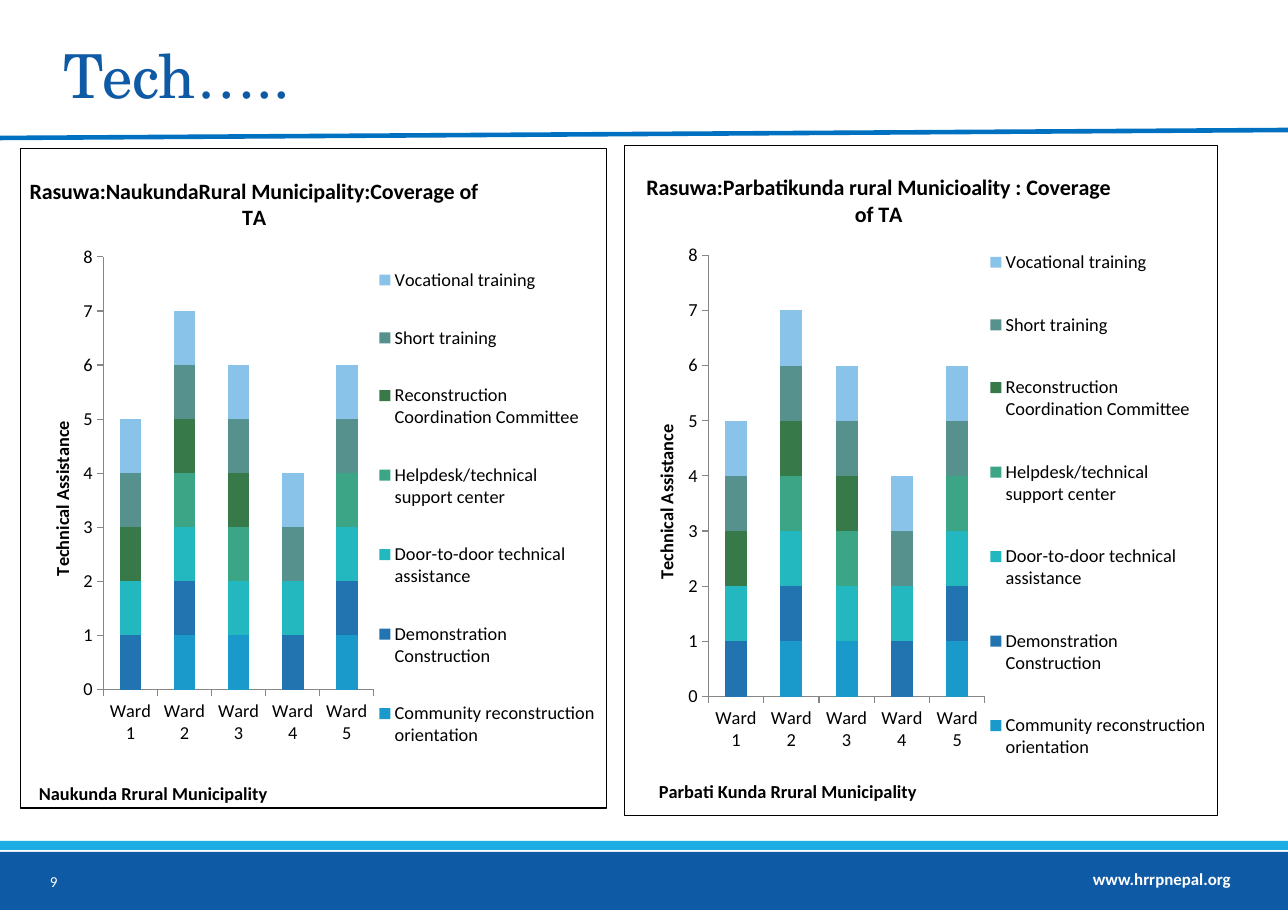
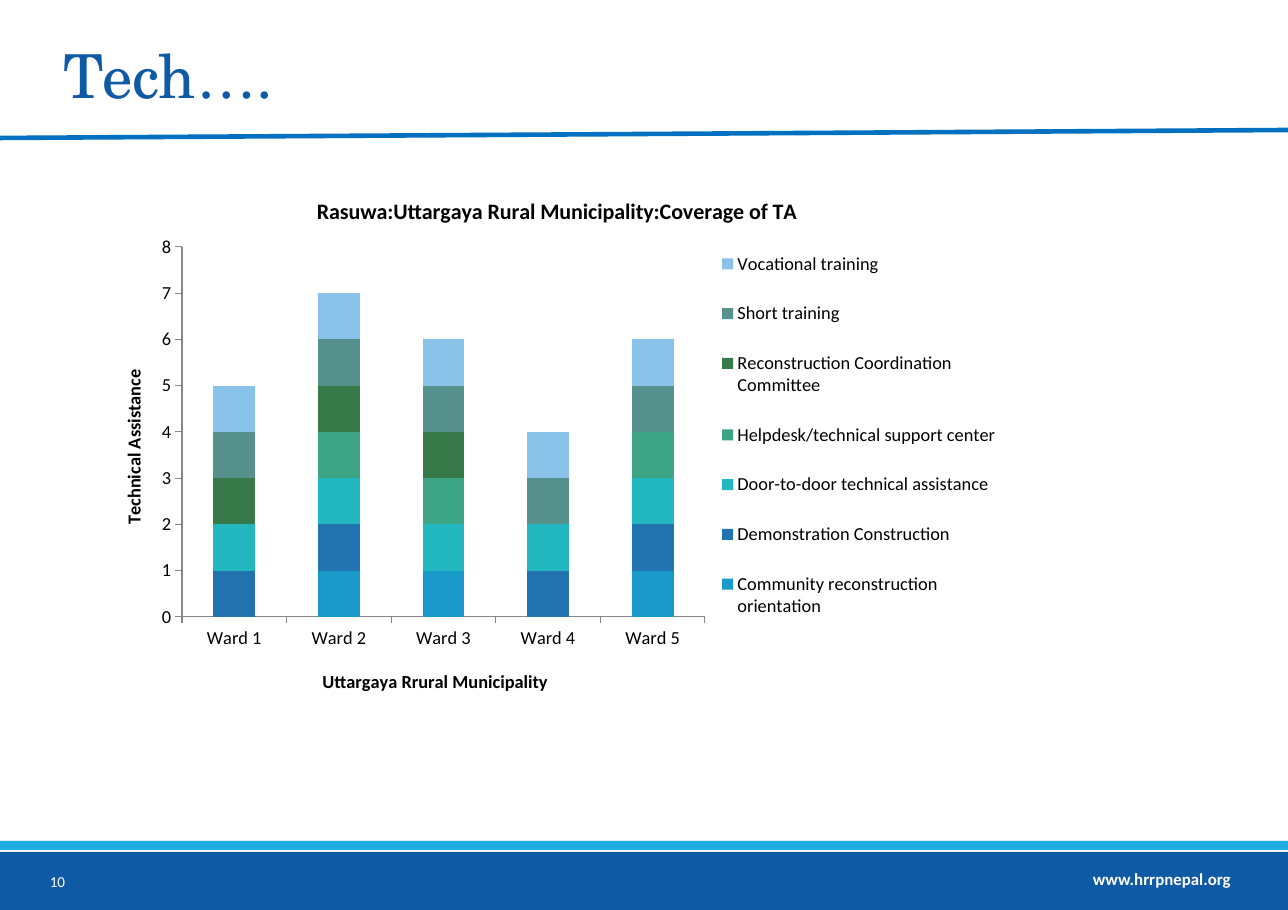
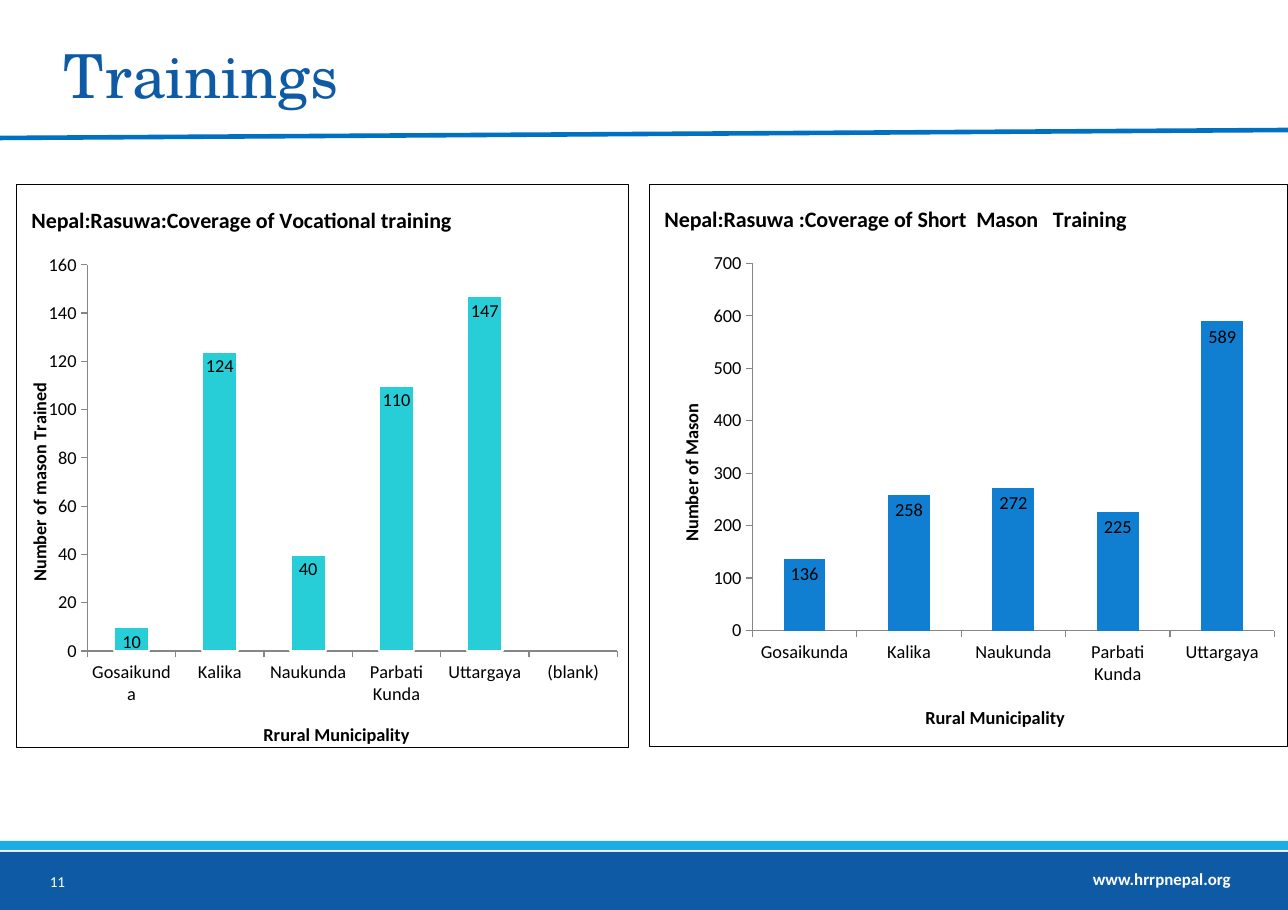
"""Build three slides on technical assistance and training coverage in Rasuwa."""
from lxml.etree import SubElement
from pptx import Presentation
from pptx.chart.data import CategoryChartData
from pptx.dml.color import RGBColor
from pptx.enum.chart import XL_CHART_TYPE, XL_LABEL_POSITION, XL_LEGEND_POSITION, XL_TICK_MARK
from pptx.enum.shapes import MSO_CONNECTOR, MSO_SHAPE
from pptx.enum.text import MSO_ANCHOR
from pptx.oxml import parse_xml
from pptx.oxml.ns import nsdecls, qn
from pptx.util import Pt

EMU_PER_PX = 914400 / 110.2
SLIDE_WIDTH, SLIDE_HEIGHT = 1288, 910
FIRST_PAGE = 9

NAVY = RGBColor(0x0F, 0x5A, 0xA5)
SKY = RGBColor(0x1C, 0xAD, 0xE4)
RULE_BLUE = RGBColor(0x00, 0x70, 0xC0)
AXIS_GRAY = RGBColor(0x86, 0x86, 0x86)
TURQUOISE = RGBColor(0x27, 0xCE, 0xD7)
MASON_BLUE = RGBColor(0x10, 0x7F, 0xD2)
WHITE = RGBColor(0xFF, 0xFF, 0xFF)
BLACK = RGBColor(0x00, 0x00, 0x00)
BODY_FONT, TITLE_FONT = "Calibri", "TeX Gyre Schola"

WARDS = ["Ward 1", "Ward 2", "Ward 3", "Ward 4", "Ward 5"]
MUNICIPALITIES = ["Gosaikunda", "Kalika", "Naukunda", "Parbati Kunda", "Uttargaya"]
ASSISTANCE = [
    ("Community reconstruction orientation", [0, 1, 1, 0, 1], RGBColor(0x19, 0x9A, 0xCB)),
    ("Demonstration Construction", [1, 1, 0, 1, 1], RGBColor(0x22, 0x74, 0xB1)),
    ("Door-to-door technical assistance", [1, 1, 1, 1, 1], RGBColor(0x23, 0xB7, 0xBF)),
    ("Helpdesk/technical support center", [0, 1, 1, 0, 1], RGBColor(0x3B, 0xA5, 0x86)),
    ("Reconstruction Coordination Committee", [1, 1, 1, 0, 0], RGBColor(0x37, 0x79, 0x49)),
    ("Short training", [1, 1, 1, 1, 1], RGBColor(0x57, 0x91, 0x8D)),
    ("Vocational training", [1, 1, 1, 1, 1], RGBColor(0x8A, 0xC3, 0xE9)),
]
COVERAGE = dict(categories=WARDS, series=ASSISTANCE, value_title="Technical Assistance",
                maximum=8, step=1, border=BLACK)

SLIDES = [
    ("Tech…..", [
        dict(COVERAGE, box=(20, 148, 587, 663), plot=(103, 257, 271, 435),
             legend=(384, 233, 219, 552),
             title="Rasuwa:NaukundaRural Municipality:Coverage of TA", title_at=(25, 172),
             category_title="Naukunda Rrural Municipality", category_at=(35, 781),
             value_at=(46, 419)),
        dict(COVERAGE, box=(624, 145, 594, 671), plot=(708, 255, 277, 442),
             legend=(996, 210, 219, 590),
             title="Rasuwa:Parbatikunda rural Municioality : Coverage of TA", title_at=(642, 168),
             category_title="Parbati Kunda Rrural Municipality", category_at=(655, 776),
             value_at=(650, 421)),
    ]),
    ("Tech….", [
        dict(COVERAGE, box=(91, 169, 927, 543), plot=(182, 247, 523, 370),
             legend=(713, 225, 292, 420), border=None,
             title="Rasuwa:Uttargaya Rural Municipality:Coverage of TA", title_at=(313, 192),
             category_title="Uttargaya Rrural Municipality", category_at=(319, 666),
             value_at=(118, 366)),
    ]),
    ("Trainings", [
        dict(categories=MUNICIPALITIES, series=[("Series 1", [136, 258, 272, 225, 589], MASON_BLUE)],
             maximum=700, step=100, border=BLACK, box=(649, 184, 639, 563),
             plot=(752, 263, 523, 368),
             title="Nepal:Rasuwa :Coverage of Short  Mason   Training", title_at=(660, 200),
             category_title="Rural Municipality", category_at=(922, 702),
             value_title="Number of Mason", value_at=(675, 400)),
        dict(categories=MUNICIPALITIES + ["(blank)"],
             series=[("Series 1", [10, 124, 40, 110, 147, None], TURQUOISE)], outline=WHITE,
             maximum=160, step=20, border=BLACK, box=(16, 184, 613, 568),
             plot=(87, 265, 531, 390),
             title="Nepal:Rasuwa:Coverage of Vocational training", title_at=(27, 201),
             category_title="Rrural Municipality", category_at=(260, 724),
             value_title="Number of mason Trained", value_at=(23, 382)),
    ]),
]


def px(*lengths):
    return [round(length * EMU_PER_PX) for length in lengths]


def add_band(slide, box, color):
    band = slide.shapes.add_shape(MSO_SHAPE.RECTANGLE, *px(*box))
    band.shadow.inherit = False
    band.fill.solid()
    band.fill.fore_color.rgb = color
    band.line.fill.background()


def add_text(slide, text, box, size, color, font=BODY_FONT, bold=False, anchor=MSO_ANCHOR.TOP):
    text_frame = slide.shapes.add_textbox(*px(*box)).text_frame
    text_frame.word_wrap = True
    text_frame.vertical_anchor = anchor
    text_frame.text = text
    paragraph = text_frame.paragraphs[0]
    run_font = paragraph.runs[0].font
    run_font.name, run_font.size, run_font.bold = font, Pt(size), bold
    run_font.color.rgb = color
    return paragraph


def add_frame(slide, title, page):
    """Draw the title, rule, bands and footer that every slide carries."""
    add_band(slide, (0, 852, SLIDE_WIDTH, 58), NAVY)
    add_band(slide, (0, 841, SLIDE_WIDTH, 9), SKY)
    add_text(slide, "www.hrrpnepal.org", (1082, 863, 206, 32), 11, WHITE, bold=True)
    rule = slide.shapes.add_connector(MSO_CONNECTOR.STRAIGHT, *px(0, 138, SLIDE_WIDTH, 130))
    rule.line.color.rgb = RULE_BLUE
    rule.line.width = Pt(3)
    SubElement(rule.element.spPr, qn("a:effectLst"))
    heading = add_text(slide, title, (53, 30, 1062, 86), 39.6, NAVY, TITLE_FONT,
                       anchor=MSO_ANCHOR.BOTTOM)
    heading.line_spacing = 0.85
    heading.runs[0].font.element.set("spc", "-40") if hasattr(
        heading.runs[0].font, "element") else heading.runs[0].element_spacing if hasattr(
        heading.runs[0], "element_spacing") else None
    add_text(slide, str(page), (39, 857, 139, 48), 9.9, WHITE, anchor=MSO_ANCHOR.MIDDLE)


def set_layout(element, chart_box, place):
    """Fix a chart part at a place given in slide px: left, top and maybe width, height."""
    left, top, width, height = chart_box
    fractions = [(place[0] - left) / width, (place[1] - top) / height]
    if len(place) == 4:
        fractions += [place[2] / width, place[3] / height]
    inner = '<c:layoutTarget val="inner"/>' if element.tag == qn("c:plotArea") else ""
    modes = '<c:xMode val="edge"/><c:yMode val="edge"/>'
    values = "".join(f'<c:{name} val="{value:.4f}"/>' for name, value in zip("xywh", fractions))
    for layout in element.findall(qn("c:layout")):
        element.remove(layout)
    before = sum(child.tag in (qn("c:tx"), qn("c:legendPos")) for child in element)
    element.insert(before, parse_xml(
        f'<c:layout {nsdecls("c")}><c:manualLayout>{inner}{modes}{values}'
        '</c:manualLayout></c:layout>'))


def set_title(title, text, size, chart_box, place, rotation=0):
    title.text_frame.text = text
    font = title.text_frame.paragraphs[0].runs[0].font
    font.name, font.size, font.bold = BODY_FONT, Pt(size), True
    font.color.rgb = BLACK
    for body in title.element.iter(qn("a:bodyPr")):
        body.set("rot", str(rotation * 60000))
        body.set("vert", "horz")
    set_layout(title.element, chart_box, place)


def add_border(chart, color):
    border = parse_xml(
        f'<c:spPr {nsdecls("c", "a")}><a:noFill/><a:ln w="9525"><a:solidFill>'
        f'<a:srgbClr val="{color}"/></a:solidFill></a:ln></c:spPr>')
    if color is None:
        border = parse_xml(f'<c:spPr {nsdecls("c", "a")}><a:noFill/><a:ln><a:noFill/></a:ln></c:spPr>')
    chart.element.find(qn("c:chart")).addnext(border)


def style_axis(axis):
    axis.has_major_gridlines = False
    axis.major_tick_mark = XL_TICK_MARK.OUTSIDE
    axis.minor_tick_mark = XL_TICK_MARK.NONE
    axis.format.line.color.rgb = AXIS_GRAY
    axis.format.line.width = Pt(0.75)


def add_column_chart(slide, content):
    chart_data = CategoryChartData()
    chart_data.categories = content["categories"]
    for name, values, _ in content["series"]:
        chart_data.add_series(name, values)
    box = content["box"]
    chart = slide.shapes.add_chart(XL_CHART_TYPE.COLUMN_STACKED, *px(*box), chart_data).chart
    chart.font.name, chart.font.size = BODY_FONT, Pt(12)
    chart.font.color.rgb = BLACK
    add_border(chart, content["border"])

    plot = chart.plots[0]
    plot.gap_width, plot.overlap, plot.vary_by_categories = 150, 100, False
    for series, (_, _, color) in zip(plot.series, content["series"]):
        series.format.fill.solid()
        series.format.fill.fore_color.rgb = color
        if "outline" in content:
            series.format.line.color.rgb = content["outline"]
            series.format.line.width = Pt(1.5)

    for axis in (chart.category_axis, chart.value_axis):
        style_axis(axis)
    chart.value_axis.minimum_scale = 0
    chart.value_axis.maximum_scale = content["maximum"]
    chart.value_axis.major_unit = content["step"]

    chart.has_title = True
    set_title(chart.chart_title, content["title"], 14.4, box, content["title_at"])
    set_title(chart.category_axis.axis_title, content["category_title"], 12, box,
              content["category_at"])
    set_title(chart.value_axis.axis_title, content["value_title"], 12, box,
              content["value_at"], rotation=-90)
    chart_element = chart.element.find(qn("c:chart"))
    set_layout(chart_element.find(qn("c:plotArea")), box, content["plot"])

    chart.has_legend = "legend" in content
    if chart.has_legend:
        chart.legend.position = XL_LEGEND_POSITION.RIGHT
        chart.legend.include_in_layout = False
        set_layout(chart_element.find(qn("c:legend")), box, content["legend"])
    else:
        plot.has_data_labels = True
        plot.data_labels.show_value = True
        plot.data_labels.position = XL_LABEL_POSITION.INSIDE_END


def main():
    presentation = Presentation()
    presentation.slide_width, presentation.slide_height = px(SLIDE_WIDTH, SLIDE_HEIGHT)
    for page, (title, charts) in enumerate(SLIDES, FIRST_PAGE):
        slide = presentation.slides.add_slide(presentation.slide_layouts[6])
        add_frame(slide, title, page)
        for content in charts:
            add_column_chart(slide, content)
    presentation.save("out.pptx")


if __name__ == "__main__":
    main()
